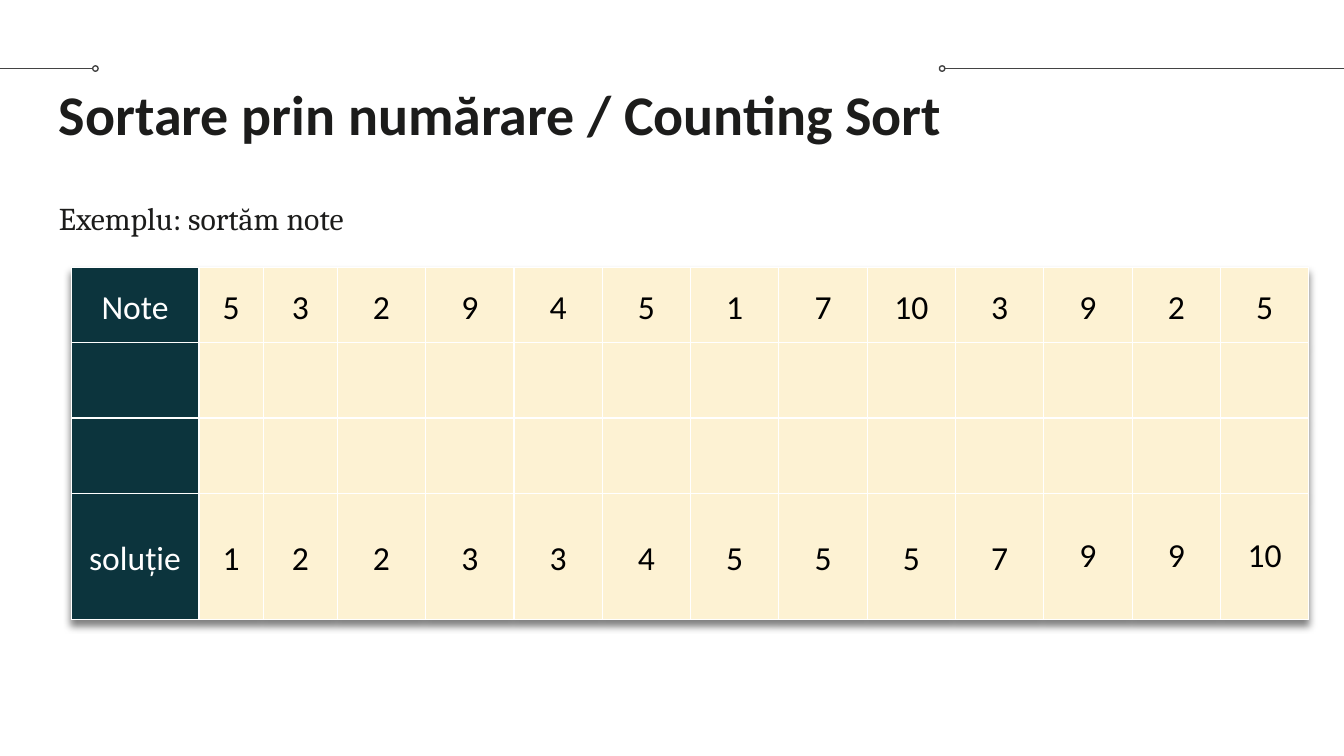
from dataclasses import dataclass

from lxml.etree import SubElement
from pptx import Presentation
from pptx.dml.color import RGBColor
from pptx.enum.shapes import MSO_CONNECTOR, MSO_SHAPE
from pptx.enum.text import MSO_ANCHOR, PP_ALIGN
from pptx.oxml import parse_xml
from pptx.oxml.ns import nsdecls, qn
from pptx.slide import Slide
from pptx.table import _Cell
from pptx.util import Inches, Pt


@dataclass(frozen=True)
class Theme:
    """Colours, fonts and sizes of the slide."""

    ink: str = "1C1C1B"
    rule: str = "434343"
    header: str = "0C343D"
    body: str = "FDF2D3"
    white: str = "FFFFFF"
    black: str = "000000"
    heading_font: str = "Calibri"
    text_font: str = "Cambria"
    title_size: int = 30
    text_size: int = 17
    cell_size: int = 18
    line_width: float = 0.75


@dataclass(frozen=True)
class Caption:
    """A text box with one paragraph."""

    text: str
    top: float
    height: float
    font: str
    size: int
    bold: bool


@dataclass(frozen=True)
class Rule:
    """A horizontal line with a ring at its inner end."""

    start: float
    end: float
    ring_left: float


@dataclass(frozen=True)
class GradeRow:
    """A table row: label, values and height."""

    label: str
    values: tuple[str, ...]
    height: float
    single_spaced_from: int = 14


THEME = Theme()
SLIDE_WIDTH = 10
SLIDE_HEIGHT = SLIDE_WIDTH * 9 / 16
RING = 0.04
RULE_TOP = 0.51
INSET = Inches(0.1)
RULES = (Rule(0, 0.69, 0.69), Rule(7.03, SLIDE_WIDTH, 6.99))
CAPTIONS = (
    Caption("Sortare prin numărare / Counting Sort", 0.49, 0.77,
            THEME.heading_font, THEME.title_size, True),
    Caption("Exemplu: sortăm note", 1.38, 3.61,
            THEME.text_font, THEME.text_size, False),
)
TABLE_WIDTH = 9.21
FIRST_WIDTHS = [0.95, 0.48, 0.55]
COLUMN_WIDTHS = FIRST_WIDTHS + [(TABLE_WIDTH - sum(FIRST_WIDTHS)) / 11] * 11
BLANK_ROW = GradeRow("", ("",) * 13, 0.56)
ROWS = (
    GradeRow("Note", tuple("5 3 2 9 4 5 1 7 10 3 9 2 5".split()), 0.56),
    BLANK_ROW,
    BLANK_ROW,
    GradeRow("soluție", tuple("1 2 2 3 3 4 5 5 5 7 9 9 10".split()), 0.94, 11),
)


def color(value: str) -> RGBColor:
    """Return the colour for a hex value."""
    return RGBColor.from_string(value)


def draw_rule(page: Slide, rule: Rule) -> None:
    """Draw a line and its ring."""
    line = page.shapes.add_connector(
        MSO_CONNECTOR.STRAIGHT, Inches(rule.start), Inches(RULE_TOP),
        Inches(rule.end), Inches(RULE_TOP))
    ring = page.shapes.add_shape(
        MSO_SHAPE.OVAL, Inches(rule.ring_left), Inches(RULE_TOP - RING / 2),
        Inches(RING), Inches(RING))
    ring.shadow.inherit = False
    ring.fill.background()
    for shape in (line, ring):
        shape.line.color.rgb = color(THEME.rule)
        shape.line.width = Pt(THEME.line_width)
    SubElement(line._element.spPr, qn("a:effectLst"))


def draw_caption(page: Slide, caption: Caption) -> None:
    """Draw a text box."""
    box = page.shapes.add_textbox(
        Inches(0.34), Inches(caption.top), Inches(9.32), Inches(caption.height))
    frame = box.text_frame
    frame.word_wrap = True
    frame.vertical_anchor = MSO_ANCHOR.TOP
    frame.margin_left = frame.margin_right = INSET
    frame.margin_top = frame.margin_bottom = INSET
    paragraph = frame.paragraphs[0]
    paragraph.text = caption.text
    paragraph.font.name = caption.font
    paragraph.font.size = Pt(caption.size)
    paragraph.font.bold = caption.bold
    paragraph.font.color.rgb = color(THEME.ink)


def add_borders(cell: _Cell) -> None:
    """Outline a cell in white."""
    properties = cell._tc.get_or_add_tcPr()
    for index, side in enumerate(("lnL", "lnR", "lnT", "lnB")):
        properties.insert(index, parse_xml(
            f'<a:{side} {nsdecls("a")} w="{Pt(THEME.line_width)}"><a:solidFill>'
            f'<a:srgbClr val="{THEME.white}"/></a:solidFill></a:{side}>'))


def fill_cell(cell: _Cell, text: str, is_header: bool, spacing: float) -> None:
    """Write and style one table cell."""
    cell.fill.solid()
    cell.fill.fore_color.rgb = color(THEME.header if is_header else THEME.body)
    cell.vertical_anchor = MSO_ANCHOR.MIDDLE
    cell.margin_left = cell.margin_right = INSET
    cell.margin_top = cell.margin_bottom = INSET
    paragraph = cell.text_frame.paragraphs[0]
    paragraph.text = text
    paragraph.alignment = PP_ALIGN.CENTER
    paragraph.line_spacing = spacing
    paragraph.font.name = THEME.heading_font
    paragraph.font.size = Pt(THEME.cell_size)
    paragraph.font.color.rgb = color(THEME.white if is_header else THEME.black)
    add_borders(cell)


def draw_table(page: Slide) -> None:
    """Draw the table of grades with its shadow."""
    table = page.shapes.add_table(
        len(ROWS), len(COLUMN_WIDTHS), Inches(0.53), Inches(1.99),
        Inches(TABLE_WIDTH), Inches(sum(row.height for row in ROWS))).table
    table.first_row = table.horz_banding = False
    table._tbl.tblPr.insert(0, parse_xml(
        f'<a:effectLst {nsdecls("a")}><a:outerShdw blurRad="{Pt(4)}" '
        f'dist="{Pt(3)}" dir="5400000" algn="bl" rotWithShape="0">'
        f'<a:srgbClr val="{THEME.black}"><a:alpha val="50000"/></a:srgbClr>'
        '</a:outerShdw></a:effectLst>'))
    for column, width in zip(table.columns, COLUMN_WIDTHS):
        column.width = Inches(width)
    for row_index, row in enumerate(ROWS):
        table.rows[row_index].height = Inches(row.height)
        for index, text in enumerate((row.label, *row.values)):
            spacing = 1.0 if index >= row.single_spaced_from else 1.15
            fill_cell(table.cell(row_index, index), text, index == 0, spacing)


def main() -> None:
    """Build and save the slide."""
    deck = Presentation()
    deck.slide_width, deck.slide_height = Inches(SLIDE_WIDTH), Inches(SLIDE_HEIGHT)
    page = deck.slides.add_slide(deck.slide_layouts[6])
    for rule in RULES:
        draw_rule(page, rule)
    for caption in CAPTIONS:
        draw_caption(page, caption)
    draw_table(page)
    deck.save("out.pptx")


if __name__ == "__main__":
    main()
